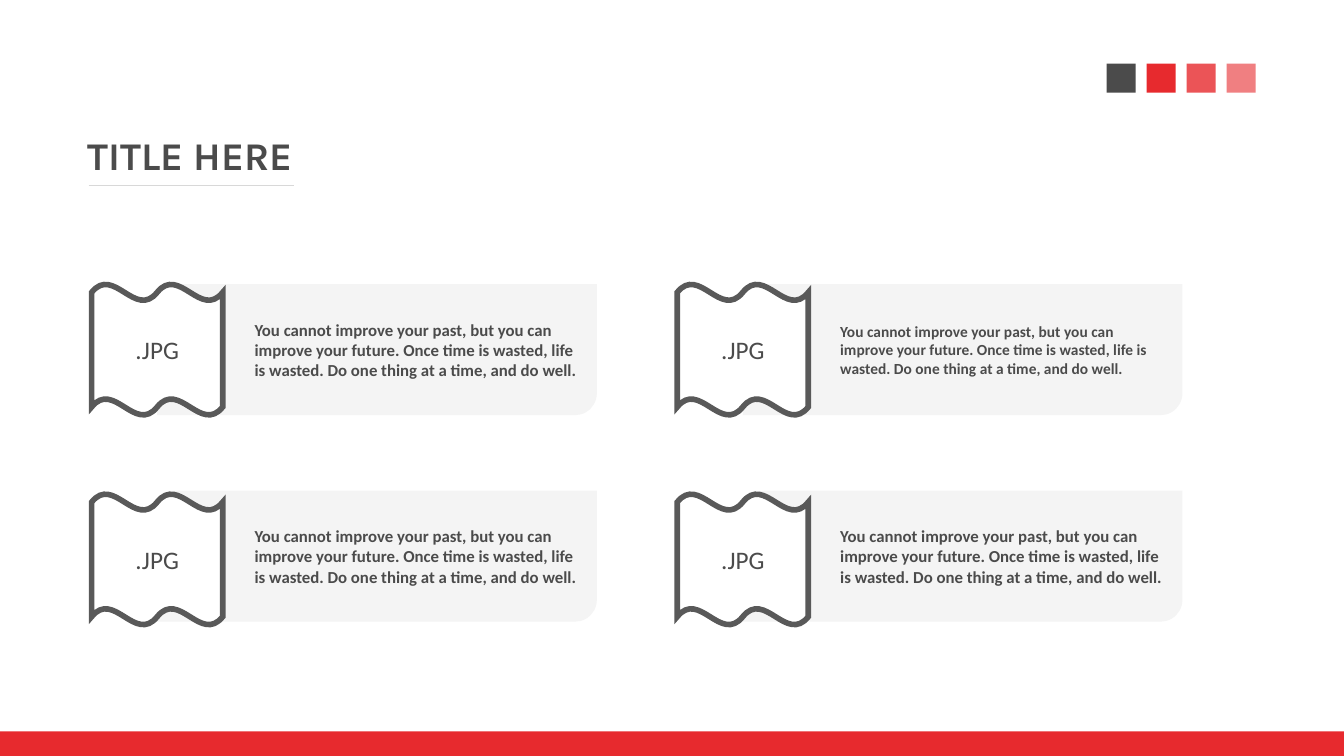
from pptx import Presentation
from pptx.util import Pt
from pptx.dml.color import RGBColor
from pptx.enum.shapes import MSO_SHAPE, MSO_CONNECTOR
from pptx.enum.text import PP_ALIGN, MSO_ANCHOR, MSO_AUTO_SIZE
from lxml import etree

RECT, WAVE = MSO_SHAPE.RECTANGLE, MSO_SHAPE.DOUBLE_WAVE
CARD, LINE = MSO_SHAPE.ROUND_2_DIAG_RECTANGLE, MSO_CONNECTOR.STRAIGHT
LEFT, MID = PP_ALIGN.LEFT, PP_ALIGN.CENTER
TOP, CENTRE = MSO_ANCHOR.TOP, MSO_ANCHOR.MIDDLE
FIXED = MSO_AUTO_SIZE.NONE
NS = "http://schemas.openxmlformats.org/drawingml/2006/main"
RED, DARK, GREY = "E72A2E", "4B4B4B", "595959"
QUOTE = ("You cannot improve your past, but you can improve your future. "
         "Once time is wasted, life is wasted. Do one thing at a time, and do well.")

deck = Presentation()
deck.slide_width, deck.slide_height = Pt(960), Pt(540)
slide = deck.slides.add_slide(deck.slide_layouts[5])


def draw(kind, box, fill):
    shape = slide.shapes.add_shape(kind, *[Pt(v) for v in box])
    shape.shadow.inherit = False
    shape.fill.solid()
    shape.fill.fore_color.rgb = RGBColor.from_string(fill)
    shape.line.fill.background()
    return shape


def write(shape, text, align, font, frame):
    body = shape.text_frame
    body.text = text
    frame = {"auto_size": FIXED, "margin_left": Pt(7.2),
             "margin_right": Pt(7.2), "margin_top": Pt(3.6),
             "margin_bottom": Pt(3.6)} | frame
    for key, value in frame.items():
        setattr(body, key, value)
    para = body.paragraphs[0]
    para.alignment = align
    run = para.runs[0]
    for key, value in font.items():
        setattr(run.font, key, value)
    run.font.color.rgb = RGBColor.from_string(DARK)


# Colour squares, the last two partly clear
for i, (tint, alpha) in enumerate([(DARK, 100), (RED, 100), (RED, 80), (RED, 60)]):
    square = draw(RECT, (790.5 + 28.56 * i, 45.4, 20.8, 20.8), tint)
    if alpha < 100:
        tone = square.fill._xPr.find(f".//{{{NS}}}srgbClr")
        etree.SubElement(tone, f"{{{NS}}}alpha", val=str(alpha * 1000))

# Footer band
draw(RECT, (0, 522.4, 960, 17.6), RED)

# Cards: two columns by two rows
for col in range(2):
    for row in range(2):
        x = 65.5 + 418.3 * col
        card = draw(CARD, (x + 46.8, 203 + 147.5 * row, 314, 93.6), "F4F4F4")
        card.adjustments[0] = 0.167
        size = 11 if (col, row) == (1, 0) else 12
        write(card, QUOTE, LEFT,
              {"name": "Calibri", "size": Pt(size), "bold": True},
              {"word_wrap": True, "vertical_anchor": CENTRE,
               "margin_left": Pt(65), "margin_right": Pt(6.5)})

        # Flag with sharp corners
        flag = draw(WAVE, (x, 203 + 149.8 * row, 93.6, 93.6), "FFFFFF")
        flag.line.color.rgb = RGBColor.from_string(GREY)
        flag.line.width = Pt(4)
        edge = flag._element.spPr.find(f"{{{NS}}}ln")
        etree.SubElement(edge, f"{{{NS}}}miter", lim="800000")

        label = slide.shapes.add_textbox(
            Pt(x + 23.8), Pt(235.5 + 149.8 * row), Pt(46), Pt(29))
        write(label, ".JPG", MID, {"name": "Calibri", "size": Pt(18)},
              {"word_wrap": False, "vertical_anchor": TOP})

# Title and its rule
title = slide.shapes.title
for key, value in {"left": 55.5, "top": 90, "width": 172, "height": 41}.items():
    setattr(title, key, Pt(value))
write(title, "TITLE HERE", LEFT,
      {"name": "Karla", "size": Pt(28), "bold": True},
      {"word_wrap": True, "vertical_anchor": TOP})

rule = slide.shapes.add_connector(LINE, Pt(63.4), Pt(132.5), Pt(210), Pt(132.5))
rule.line.color.rgb = RGBColor.from_string("D8D8D8")
rule.line.width = Pt(1)
etree.SubElement(rule._element.spPr, f"{{{NS}}}effectLst")

deck.save("out.pptx")
